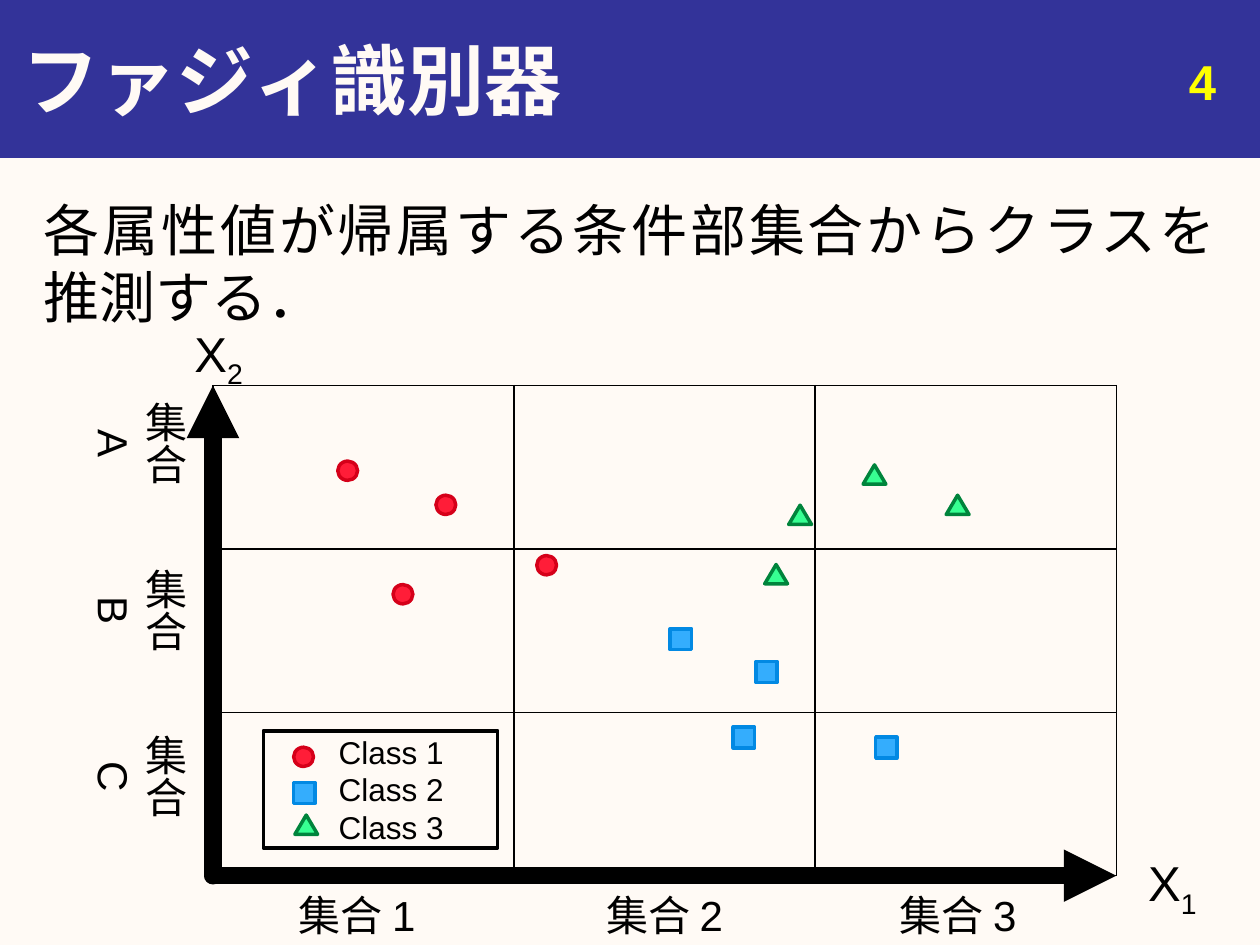
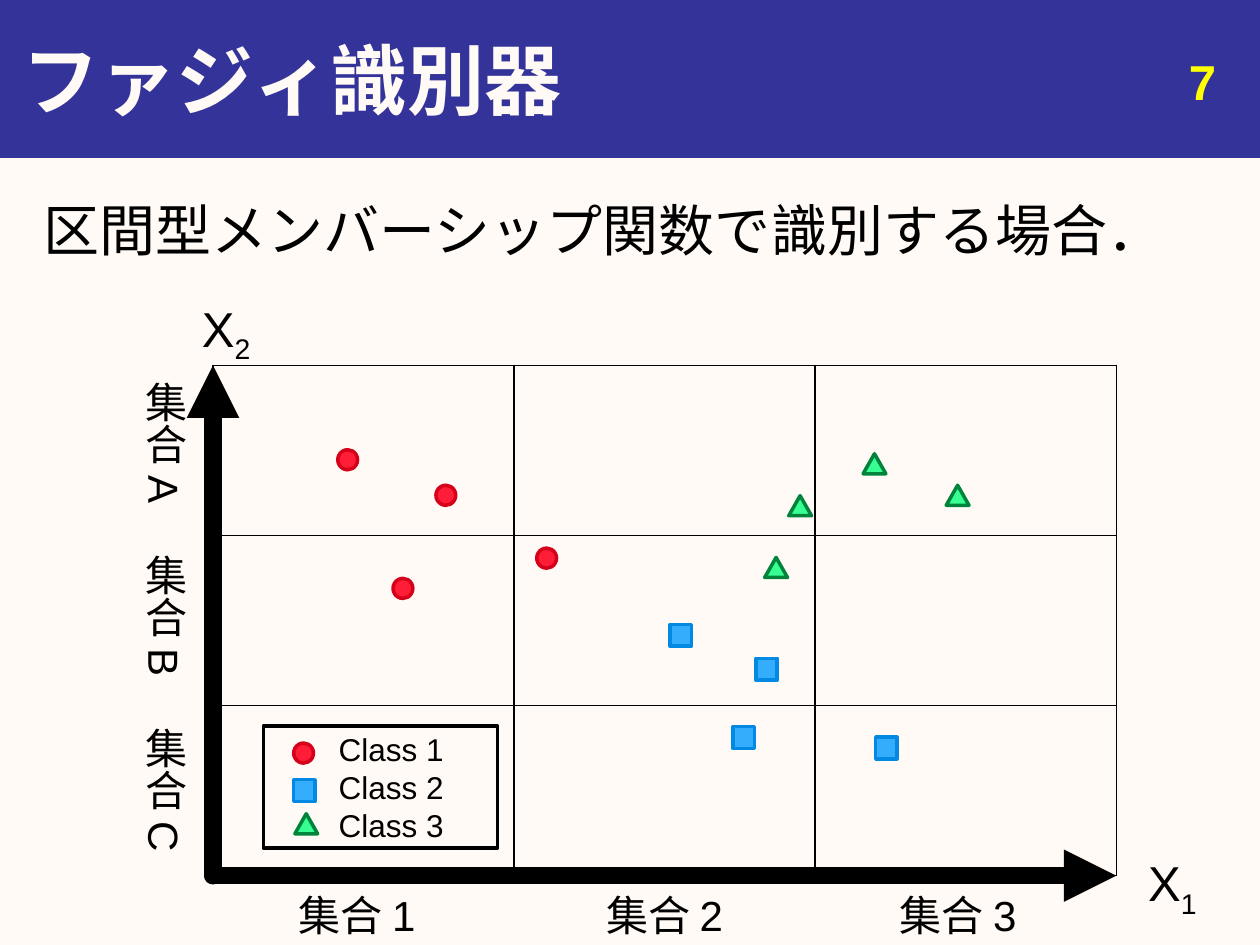
from dataclasses import dataclass

from lxml.etree import SubElement
from pptx import Presentation
from pptx.dml.color import RGBColor
from pptx.enum.shapes import MSO_CONNECTOR, MSO_SHAPE
from pptx.enum.text import MSO_ANCHOR, MSO_AUTO_SIZE, PP_ALIGN
from pptx.oxml import parse_xml
from pptx.oxml.ns import nsdecls, qn
from pptx.util import Pt


@dataclass(frozen=True)
class Theme:
    font: str = "Arial"
    paper: str = "FFFAF5"
    band: str = "333399"
    ink: str = "000000"
    page: str = "FFFF00"
    title: float = 44
    body: float = 32
    mark: float = 28
    label: float = 24
    key: float = 18


@dataclass(frozen=True)
class Box:
    left: float
    top: float
    width: float
    height: float

    def args(self) -> list:
        return [Pt(v) for v in (self.left, self.top, self.width, self.height)]


@dataclass(frozen=True)
class Group:
    name: str
    form: MSO_SHAPE
    fill: str
    line: str
    size: tuple
    key: tuple
    spots: tuple


@dataclass(frozen=True)
class Page:
    number: str
    text: str
    top: float
    axis: tuple
    slack: float


THEME = Theme()
WIDTH, HEIGHT = 720, 540
LEFT, BASE, SPAN = 121.7, 500.4, 516.2
FULL = 280.1  # plot height at scale 1
DOT_BASE, KEY_BASE = 421.2, 484.6  # levels that stay fixed when scaled
TITLE = "ファジィ識別器"
ROWS = ("A", "B", "C")
COLS = {"1": 118.8, "2": 294.5, "3": 462.2}

GROUPS = (
    Group("Class 1", MSO_SHAPE.OVAL, "FF1D38", "D50019", (11.3, 11), (167.8, 427),
          ((249.1, 283), (224.6, 334.1), (193, 263.5), (306.7, 317.5))),
    Group("Class 2", MSO_SHAPE.RECTANGLE, "34ADFD", "0289E3", (12.2, 12), (167.8, 447.1),
          ((383, 359.3), (419, 415.4), (432, 378), (500.4, 421.2))),
    Group("Class 3", MSO_SHAPE.ISOSCELES_TRIANGLE, "37FF92", "00843C", (13, 11), (168.5, 465.8),
          ((437, 322.6), (493.2, 265.7), (450.7, 288.7), (540.7, 283))),
)

# Slack is the bottom inset of the row labels
PAGES = (
    Page("4", "各属性値が帰属する条件部集合からクラスを推測する．", 220.3, (92.9, 181.4), 28.8),
    Page("7", "区間型メンバーシップ関数で識別する場合．", 208.8, (97.2, 167), 3.6),
)


def rgb(code: str) -> RGBColor:
    return RGBColor.from_string(code)


def add_run(para, text: str, size: float, color: str = THEME.ink, bold: bool = False):
    run = para.add_run()
    run.text = text
    font = run.font
    font.name, font.size, font.bold = THEME.font, Pt(size), bold
    font.color.rgb = rgb(color)
    return run


def add_text(slide, box: Box, align: PP_ALIGN):
    frame = slide.shapes.add_textbox(*box.args()).text_frame
    frame.word_wrap = True
    frame.paragraphs[0].alignment = align
    return frame


def add_form(slide, form: MSO_SHAPE, box: Box, fill: str, line: str, width: float = 2):
    shape = slide.shapes.add_shape(form, *box.args())
    shape.shadow.inherit = False
    shape.fill.solid()
    shape.fill.fore_color.rgb = rgb(fill)
    shape.line.color.rgb = rgb(line)
    shape.line.width = Pt(width)
    return shape


def add_head(slide, page: Page) -> None:
    # Band goes behind the title
    title = slide.shapes.title
    band = add_form(slide, MSO_SHAPE.RECTANGLE, Box(0, 0, WIDTH, 90),
                    THEME.band, THEME.band, 0.75)
    title.element.addprevious(band.element)
    title.left, title.top, title.width, title.height = Box(5.8, 0, 714.2, 90).args()
    frame = title.text_frame
    frame.auto_size = MSO_AUTO_SIZE.NONE
    frame.vertical_anchor = MSO_ANCHOR.MIDDLE
    para = frame.paragraphs[0]
    para.alignment = PP_ALIGN.LEFT
    add_run(para, TITLE, THEME.title, THEME.paper, True)

    # Body text and page number
    para = add_text(slide, Box(18, 108, 684, 408), PP_ALIGN.JUSTIFY).paragraphs[0]
    para.space_before = Pt(6.4)
    add_run(para, page.text, THEME.body)
    para = add_text(slide, Box(534.2, 25.9, 167.8, 37.4), PP_ALIGN.RIGHT).paragraphs[0]
    add_run(para, page.number, THEME.mark, THEME.page, True)


def add_edges(cell) -> None:
    props = cell._tc.get_or_add_tcPr()
    for spot, side in enumerate(("lnL", "lnR", "lnT", "lnB")):
        props.insert(spot, parse_xml(
            f'<a:{side} {nsdecls("a")} w="{Pt(1)}"><a:solidFill>'
            f'<a:srgbClr val="{THEME.ink}"/></a:solidFill></a:{side}>'))


def add_grid(slide, top: float) -> None:
    box = Box(LEFT, top, SPAN, BASE - top)
    table = slide.shapes.add_table(3, 3, *box.args()).table
    table.first_row = table.horz_banding = False
    for row in table.rows:
        row.height = Pt(box.height / 3)
    for col in table.columns:
        col.width = Pt(SPAN / 3)
    for cell in table.iter_cells():
        cell.fill.solid()
        cell.fill.fore_color.rgb = rgb(THEME.paper)
        add_edges(cell)


def add_arrow(slide, right: float, top: float) -> None:
    ends = [Pt(v) for v in (LEFT, BASE, right, top)]
    arrow = slide.shapes.add_connector(MSO_CONNECTOR.STRAIGHT, *ends)
    arrow.line.color.rgb = rgb(THEME.ink)
    arrow.line.width = Pt(10)
    line = arrow.line._get_or_add_ln()
    line.set("cap", "rnd")
    SubElement(line, qn("a:tailEnd"), type="triangle")
    SubElement(arrow.element.spPr, qn("a:effectLst"))


def add_axis(slide, left: float, top: float, index: str) -> None:
    para = add_text(slide, Box(left, top, 64.1, 41), PP_ALIGN.CENTER).paragraphs[0]
    add_run(para, "X", THEME.mark)
    run = add_run(para, index, THEME.mark)
    run._r.get_or_add_rPr().set("baseline", "-25000")


def add_sets(slide, page: Page) -> None:
    # Sets along the horizontal axis
    for name, left in COLS.items():
        frame = add_text(slide, Box(left, 504.5, 170.6, 35.3), PP_ALIGN.CENTER)
        add_run(frame.paragraphs[0], f"集合 {name}", THEME.label)

    # Sets along the vertical axis, in vertical writing
    first = page.top + 2.2
    height = 0.3136 * (BASE - page.top)
    pitch = (BASE - height - first) / 2
    for index, name in enumerate(ROWS):
        box = Box(68.4, first + index * pitch, 43.9, height)
        frame = add_text(slide, box, PP_ALIGN.CENTER)
        frame.margin_bottom = Pt(page.slack)
        frame._txBody.bodyPr.set("vert", "eaVert")
        add_run(frame.paragraphs[0], f"集合 {name}", THEME.label)


def add_dot(slide, group: Group, spot: tuple, base: float, scale: float) -> None:
    left, top = spot
    width, height = group.size
    box = Box(left, base - (base - top) * scale, width, height * scale)
    add_form(slide, group.form, box, group.fill, group.line)


def add_key(slide, scale: float) -> None:
    height = 67 * scale
    shape = add_form(slide, MSO_SHAPE.RECTANGLE,
                     Box(150.5, KEY_BASE - height, 133.9, height), THEME.paper, THEME.ink)
    frame = shape.text_frame
    frame.vertical_anchor = MSO_ANCHOR.MIDDLE
    for index, group in enumerate(GROUPS):
        para = frame.add_paragraph() if index else frame.paragraphs[0]
        para.level = 1
        para.alignment = PP_ALIGN.LEFT
        add_run(para, group.name, THEME.key)
    for group in GROUPS:
        add_dot(slide, group, group.key, KEY_BASE, scale)


def add_plot(slide, page: Page) -> None:
    scale = (BASE - page.top) / FULL
    add_grid(slide, page.top)
    add_arrow(slide, LEFT, page.top)
    add_arrow(slide, LEFT + SPAN, BASE)
    add_axis(slide, 637.9, 483.8, "1")
    add_axis(slide, *page.axis, "2")
    add_sets(slide, page)
    add_key(slide, scale)
    for group in GROUPS:
        for spot in group.spots:
            add_dot(slide, group, spot, DOT_BASE, scale)


def main() -> None:
    deck = Presentation()
    deck.slide_width, deck.slide_height = Pt(WIDTH), Pt(HEIGHT)
    back = deck.slide_master.background.fill
    back.solid()
    back.fore_color.rgb = rgb(THEME.paper)
    for page in PAGES:
        slide = deck.slides.add_slide(deck.slide_layouts[5])
        add_head(slide, page)
        add_plot(slide, page)
    deck.save("out.pptx")


if __name__ == "__main__":
    main()
